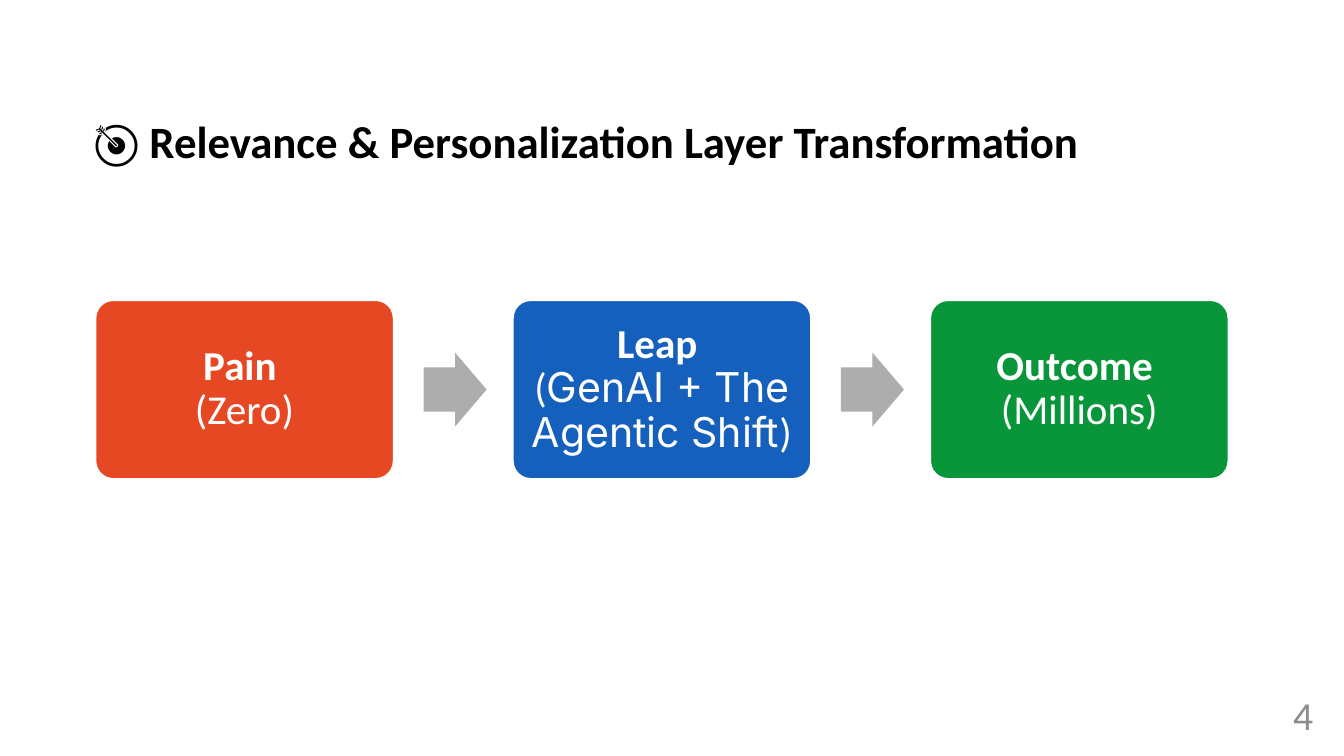
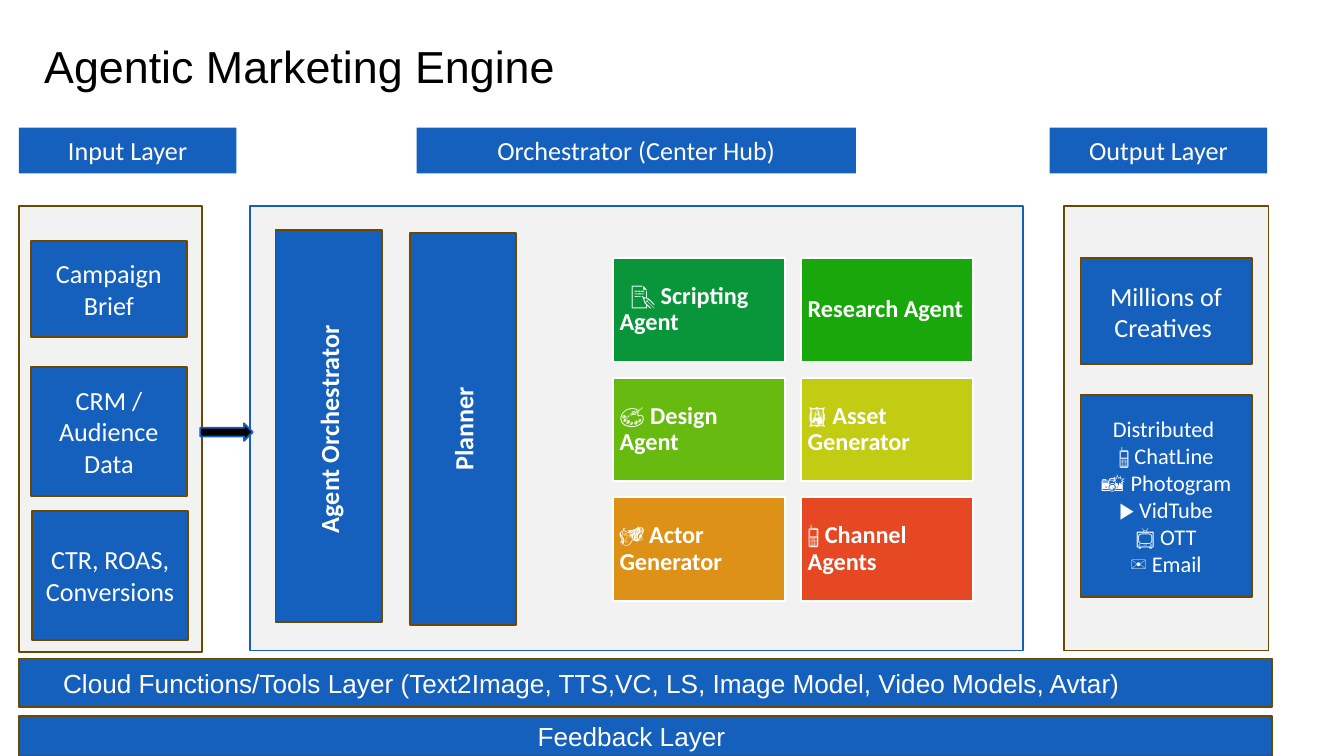
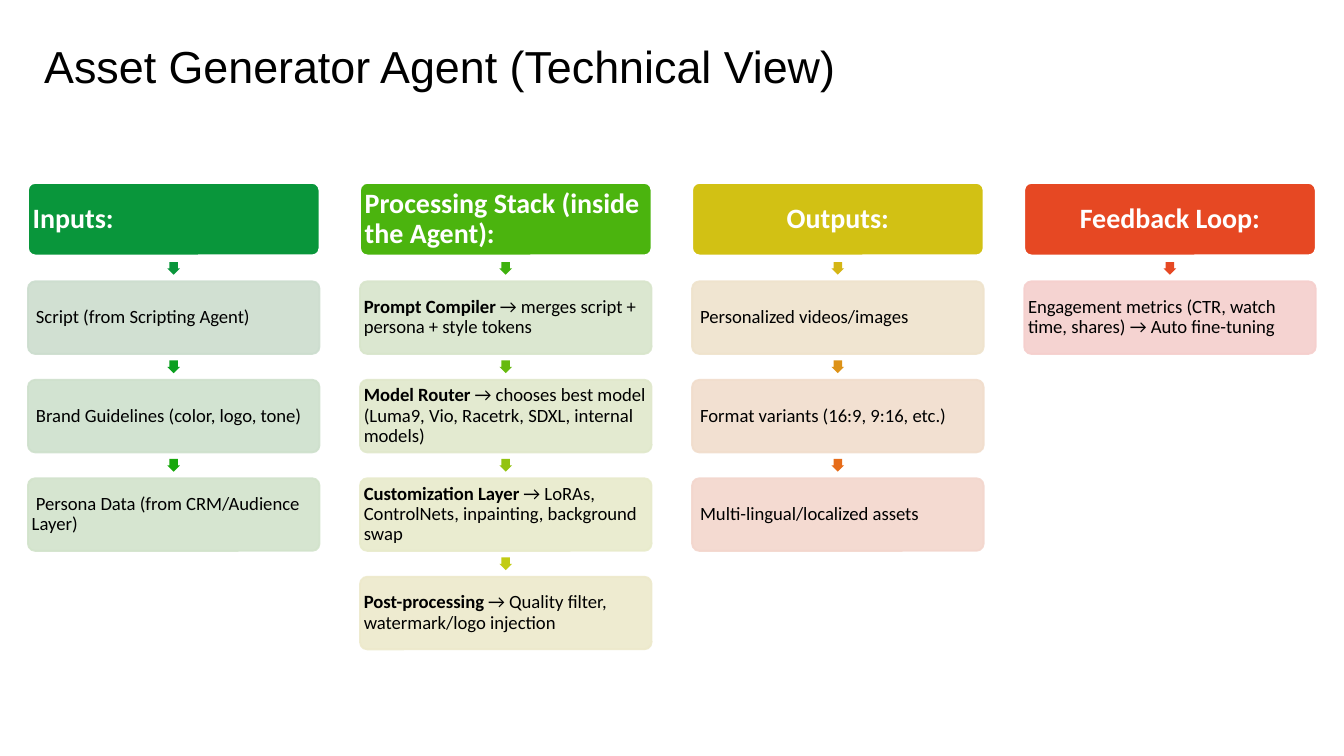
from lxml import etree
from pptx import Presentation
from pptx.dml.color import RGBColor
from pptx.enum import shapes, text
from pptx.oxml import ns
from pptx.util import Pt

BLUE = "1560BD"
GREEN = "09963B"
RED = "E64823"
LIME = "C2CC13"
ORANGE = "DD9217"
BROWN = "6B4900"
PALE = "F2F2F2"
GREY = "ADADAD"
WHITE = "FFFFFF"
BLACK = "000000"

RECT = shapes.MSO_SHAPE.RECTANGLE
ROUND = shapes.MSO_SHAPE.ROUNDED_RECTANGLE
ARROW = shapes.MSO_SHAPE.RIGHT_ARROW
ALIGN = {"l": text.PP_ALIGN.LEFT, "c": text.PP_ALIGN.CENTER, "r": text.PP_ALIGN.RIGHT}
ANCHOR = {"t": text.MSO_ANCHOR.TOP, "m": text.MSO_ANCHOR.MIDDLE}

FLOW = [
    (RED, [("Pain \v", {"bold": True}), ("(Zero)", {})]),
    (BLUE, [("Leap \v", {"bold": True}), ("(", {}),
            ("GenAI + The Agentic Shift", {"font": "Inter"}), (")", {})]),
    (GREEN, [("Outcome \v", {"bold": True}), ("(Millions)", {})]),
]

AGENTS = [
    (GREEN, "📝 ", "Scripting Agent"),
    ("18A80C", "", "Research Agent"),
    ("67BA0F", "🎨 ", "Design Agent"),
    (LIME, "🖼️ ", "Asset Generator"),
    (ORANGE, "🎭 ", "Actor Generator"),
    (RED, "📱 ", "Channel Agents"),
]

CHANNELS = "Distributed \n📱 ChatLine\n📸 Photogram\n▶️ VidTube\n📺 OTT\n✉️ Email"

STACKS = [
    ("Inputs:", GREEN, "l", [
        (GREEN, "CCDDCE", "", " Script (from Scripting Agent)"),
        ("0A9F1F", "CEE0CC", "", " Brand Guidelines (color, logo, tone)"),
        ("18A80C", "D2E3CB", "", " Persona Data (from CRM/Audience Layer)"),
    ]),
    ("Processing Stack (inside the Agent):", "4BB40E", "l", [
        ("3EB10D", "D8E5CB", "Prompt Compiler", " → merges script + persona + style tokens"),
        ("67BA0F", "E0E8CB", "Model Router",
         " → chooses best model (Luma9, Vio, Racetrk, SDXL, internal models)"),
        ("93C311", "E8EBCB", "Customization Layer",
         " → LoRAs, ControlNets, inpainting, background swap"),
        (LIME, "EDE9CB", "Post-processing", " → Quality filter, watermark/logo injection"),
    ]),
    ("Outputs:", "D2C114", "c", [
        ("D5B615", "EFE3CC", "", " Personalized videos/images"),
        (ORANGE, "F1DDCC", "", " Format variants (16:9, 9:16, etc.)"),
        ("E66C19", "F3D6CD", "", " Multi-lingual/localized assets"),
    ]),
    ("Feedback Loop:", RED, "c", [
        (RED, "F5CFCD", "", "Engagement metrics (CTR, watch time, shares) → Auto fine-tuning"),
    ]),
]


def rgb(value):
    return RGBColor.from_string(value)


def write(box, words, size=14, font="Calibri", color=WHITE, bold=False, align="c",
          anchor="m", insets=(7.2, 3.6, 7.2, 3.6), spacing=None, indent=0):
    frame = box.text_frame
    frame.word_wrap = True
    frame.vertical_anchor = ANCHOR[anchor]
    (frame.margin_left, frame.margin_top,
     frame.margin_right, frame.margin_bottom) = map(Pt, insets)
    lines = [[(line, {})] for line in words.split("\n")] if isinstance(words, str) else [words]
    for number, line in enumerate(lines):
        para = frame.add_paragraph() if number else frame.paragraphs[0]
        para.alignment = ALIGN[align]
        if spacing:
            para.line_spacing = spacing
        if indent:
            para._p.get_or_add_pPr().set("indent", str(Pt(indent)))
        for part, style in line:
            span = para.add_run()
            span.text = part.rstrip("\v")
            span.font.size = Pt(size)
            span.font.name = style.get("font", font)
            span.font.bold = style.get("bold", bold)
            span.font.color.rgb = rgb(color)
            if part.endswith("\v"):
                para.add_line_break()


def add_label(page, left, top, width, height, words, **style):
    box = page.shapes.add_textbox(Pt(left), Pt(top), Pt(width), Pt(height))
    write(box, words, **style)


def add_box(page, left, top, width, height, fill, line=None, kind=RECT,
            adjust=(), opacity=100, turn=0):
    box = page.shapes.add_shape(kind, Pt(left), Pt(top), Pt(width), Pt(height))
    box.shadow.inherit = False
    box.rotation = turn
    for number, value in enumerate(adjust):
        box.adjustments[number] = value
    box.fill.solid()
    box.fill.fore_color.rgb = rgb(fill)
    if line:
        box.line.color.rgb = rgb(line)
        box.line.width = Pt(1)
    else:
        box.line.fill.background()
    if opacity < 100:
        for color in box._element.spPr.iter(ns.qn("a:srgbClr")):
            etree.SubElement(color, ns.qn("a:alpha")).set("val", str(opacity * 1000))
    return box


def add_title(page, words):
    add_label(page, 16.6, 13.7, 545, 43.9, words, size=24, font="Arial", color=BLACK,
              align="l", anchor="t", insets=(7.2,) * 4)


def add_flow(page, left, top):
    width, height, pitch = 159.8, 95.8, 223.6
    for number, (fill, words) in enumerate(FLOW):
        x = left + number * pitch
        if number:
            add_box(page, x - 47.8, top + 28.1, 33.8, 39.6, GREY, kind=ARROW, adjust=(0.6, 0.5))
        card = add_box(page, x, top, width, height, fill, WHITE, ROUND, (0.1,))
        write(card, words, size=22, insets=(6.6,) * 4, spacing=0.9)


def add_header(page, left, width, words):
    header = add_box(page, left, 68.4, width, 24.5, BLUE)
    write(header, words, anchor="t")


def add_panel(page, left, top, width, height, cards, line=BROWN):
    add_box(page, left, top, width, height, PALE, line)
    for x, y, card_width, card_height, words, size in cards:
        card = add_box(page, left + x, top + y, card_width, card_height, BLUE, BROWN)
        write(card, words, size=size)


def add_hub(page, left, top):
    add_panel(page, left, top, 414, 238.3, [], BLUE)
    for x, y, words in [(13.7, 13, "Agent Orchestrator\u00a0"), (85.7, 14.4, "Planner")]:
        bar = add_box(page, left + x, top + y, 56.9, 210.2, BLUE, BROWN)
        write(bar, words, bold=True)
        bar.text_frame._txBody.bodyPr.set("vert", "vert270")
    for number, (fill, icon, name) in enumerate(AGENTS):
        row, column = divmod(number, 2)
        tile = add_box(page, left + 194.4 + column * 100.8, top + 28.1 + row * 64.1,
                       92.2, 55.4, fill, WHITE)
        spans = [(icon, {})] if icon else []
        write(tile, spans + [(name, {"bold": True})], size=13, align="l",
              insets=(3.6,) * 4, spacing=0.9, indent=0 if number else 6)


def add_layer_bar(page, top, height, words, inset):
    bar = add_box(page, 10.4, top, 671, height, BLUE, BROWN)
    write(bar, words, font="Arial", align="l", insets=(inset, 3.6, 0, 3.6))


def add_stack(page, left, top, title, fill, align, steps):
    width, height, pitch = 156.2, 38.9, 52.75
    head = add_box(page, left, top, width, height, fill, WHITE, ROUND, (0.1,))
    write(head, title, size=15, bold=True, align=align, insets=(1.4,) * 4, spacing=0.9)
    for number, (arrow, tint, name, detail) in enumerate(steps):
        y = top + number * pitch
        add_box(page, left + 74.6, y + 42.4, 6.8, 6.8, arrow, kind=ARROW,
                adjust=(0.67, 0.5), turn=90)
        step = add_box(page, left, y + pitch, width, height, tint, tint, ROUND, (0.1,), 90)
        spans = [(name, {"bold": True})] if name else []
        write(step, spans + [(detail, {})], size=10, color=BLACK, align="l",
              insets=(0.9,) * 4, spacing=0.9)


def build_transformation(page):
    add_label(page, 667.4, 367.2, 43.2, 31, "4", size=21.3, color="8C8C8C", align="r",
              insets=(7.2,) * 4)
    add_flow(page, 51.1, 160.8)
    add_label(page, 43.2, 57.6, 645.8, 36, "🎯 Relevance & Personalization Layer Transformation",
              size=24, color=BLACK, bold=True, align="l", anchor="t")


def build_engine(page):
    add_title(page, "Agentic Marketing Engine")
    add_header(page, 10.1, 116.6, "Input Layer")
    add_header(page, 223.2, 235.4, "Orchestrator (Center Hub)")
    add_header(page, 562.3, 116.6, "Output Layer")
    add_panel(page, 10.1, 110.2, 98, 239, [
        (6.5, 18.7, 83.5, 51.8, "Campaign Brief", 14),
        (6.5, 86.4, 83.5, 69.1, "CRM / Audience Data", 14),
        (7.2, 163.4, 83.5, 69.1, "CTR, ROAS, Conversions", 14),
    ])
    add_hub(page, 133.9, 110.2)
    add_panel(page, 570.2, 110.2, 109.4, 238.3, [
        (8.6, 28.1, 91.8, 56.9, "Millions of Creatives ", 14),
        (8.6, 101.5, 91.8, 108, CHANNELS, 12),
    ])
    add_box(page, 107.3, 226.8, 28.1, 9.4, BLACK, BLUE, ARROW)
    add_layer_bar(page, 352.8, 25.9, "Cloud Functions/Tools Layer "
                  "(Text2Image, TTS,VC, LS, Image Model, Video Models, Avtar)", 23.4)
    add_layer_bar(page, 383.4, 21.6, "Feedback Layer", 277.6)


def build_generator(page):
    add_title(page, "Asset Generator Agent (Technical View)")
    for number, stack in enumerate(STACKS):
        add_stack(page, 15 + number * 177.9, 98, *stack)


def main():
    deck = Presentation()
    deck.slide_width = Pt(720)
    deck.slide_height = Pt(405)
    for build in (build_transformation, build_engine, build_generator):
        build(deck.slides.add_slide(deck.slide_layouts[6]))
    deck.save("out.pptx")


if __name__ == "__main__":
    main()
